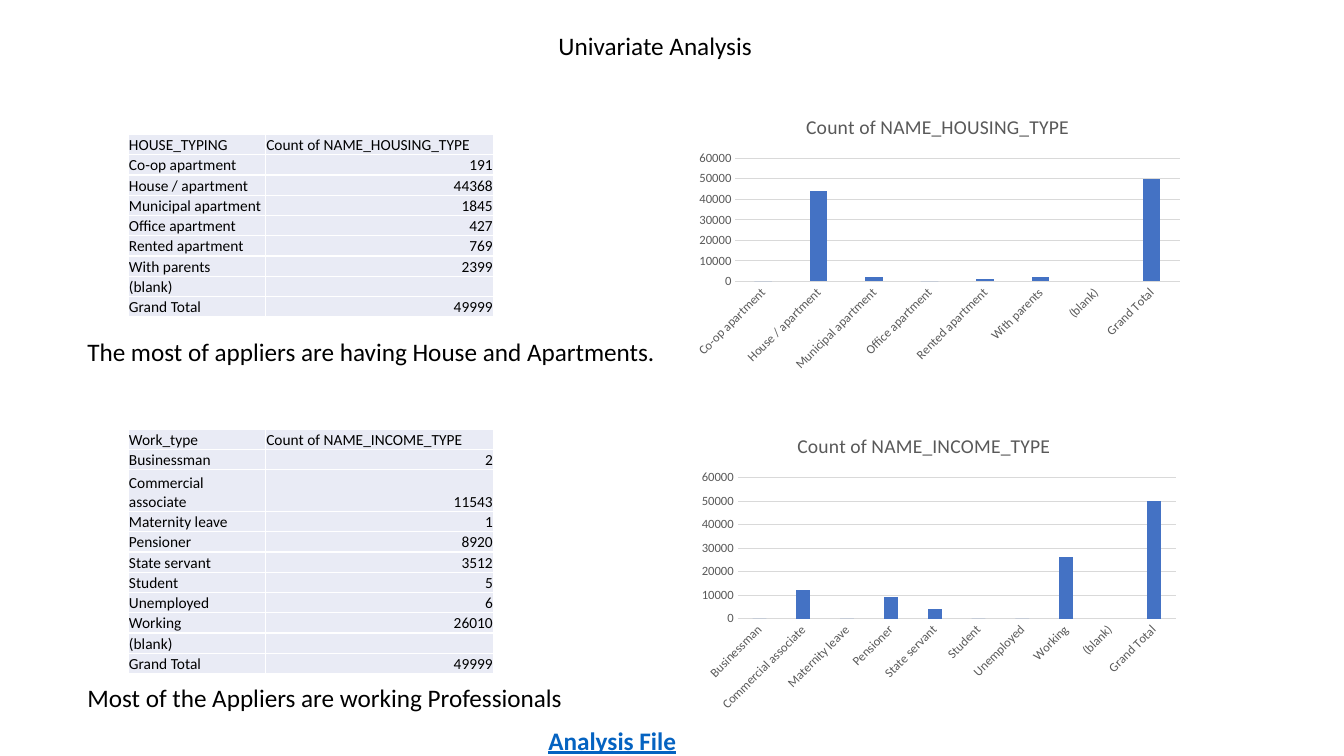
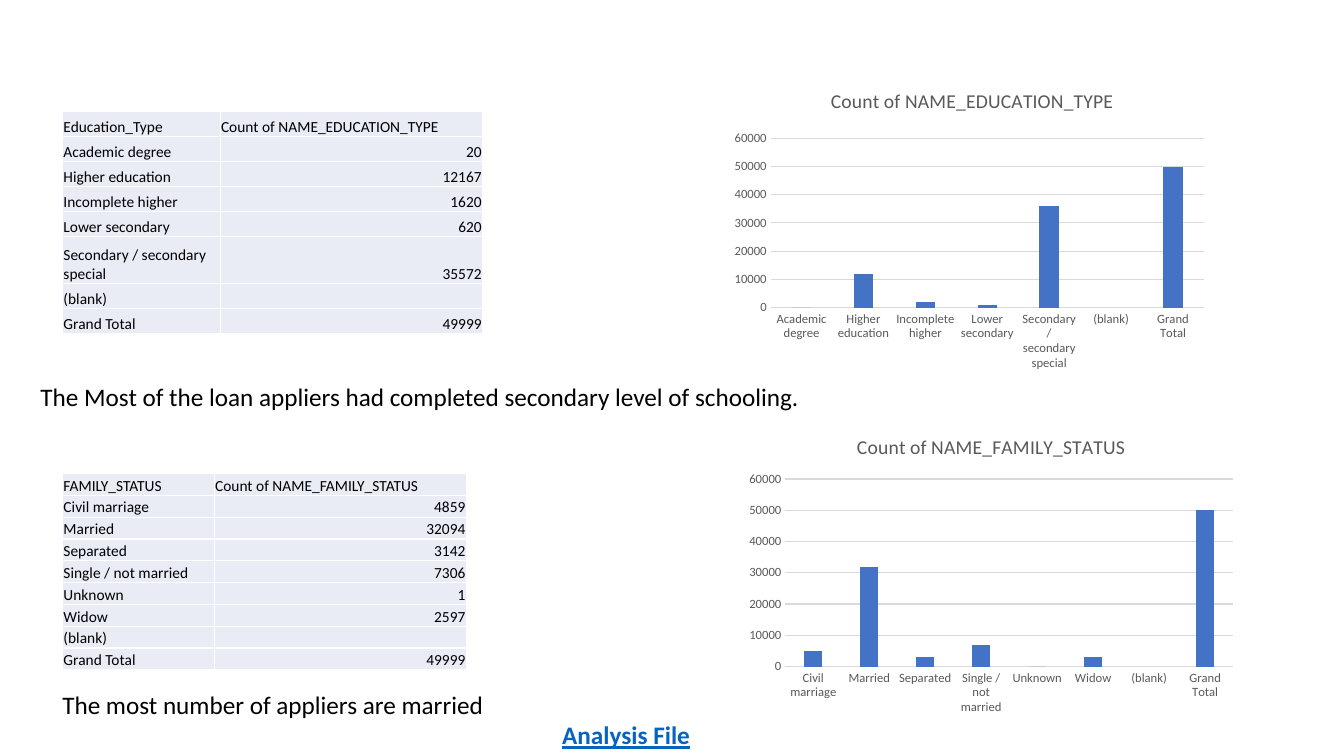
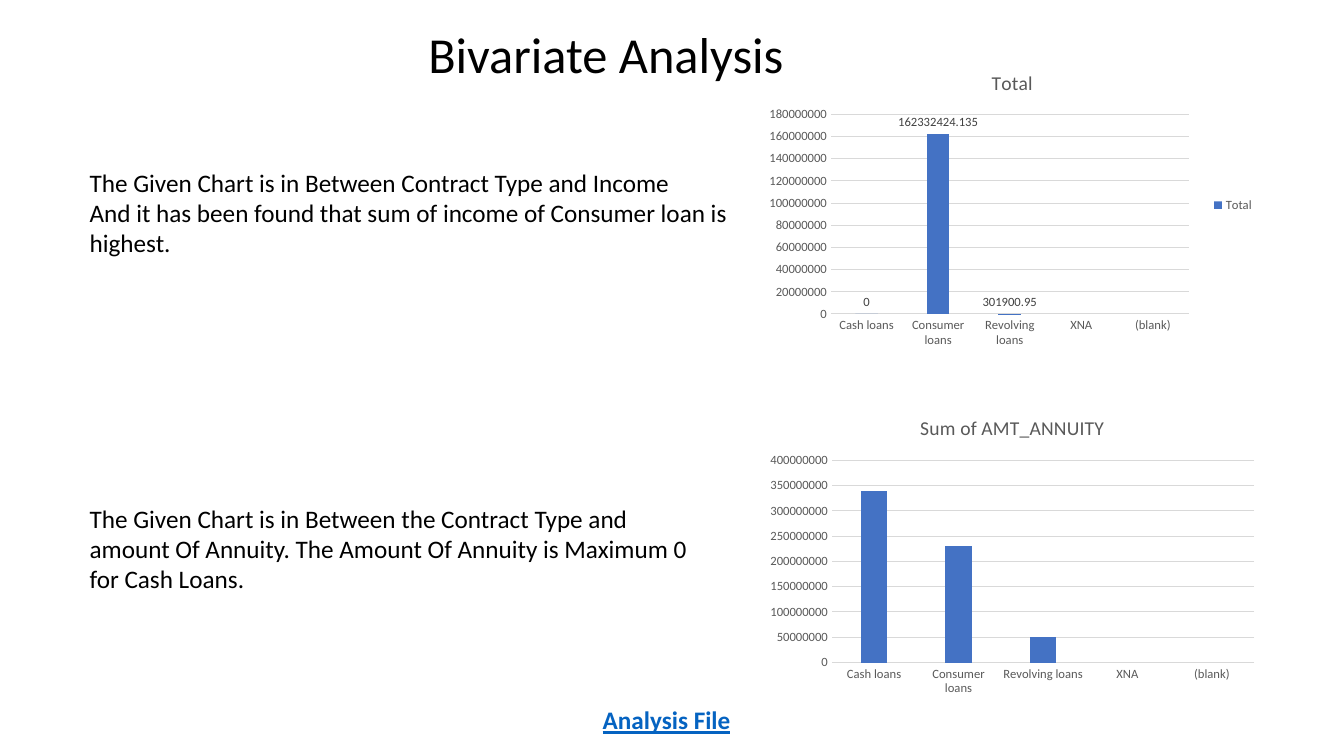
from dataclasses import dataclass
from typing import NamedTuple, Optional

from lxml import etree
from pptx import Presentation
from pptx.chart.data import CategoryChartData
from pptx.dml.color import RGBColor
from pptx.enum import chart as chart_kinds, text as text_kinds
from pptx.oxml import ns
from pptx.util import Cm, Pt


@dataclass(frozen=True)
class Theme:
    font: str = "Calibri"
    ink: str = "000000"
    link: str = "0563C1"
    muted: str = "595959"
    label: str = "404040"
    grid: str = "D9D9D9"
    bar: str = "4472C4"
    cell: str = "E9EBF5"
    border: str = "FFFFFF"
    heading_size: int = 36
    body_size: int = 18
    chart_title_size: int = 14
    table_size: int = 11
    chart_size: int = 10
    axis_size: int = 9


THEME = Theme()
TITLE_ONLY, BLANK = 5, 6
LINE_HEIGHT = 1.02
CHART_WIDTH, CHART_HEIGHT = 12.7, 7.62


class Box(NamedTuple):
    """Left, top, width and height in centimetres."""
    left: float
    top: float
    width: float
    height: float = LINE_HEIGHT

    def lengths(self) -> tuple:
        return tuple(Cm(value) for value in self)


class PlotArea(NamedTuple):
    """Inner plot position as fractions of the chart."""
    x: float
    y: float
    w: float
    h: float


@dataclass(frozen=True)
class Counts:
    heading: str
    measure: str
    rows: dict[str, Optional[float]]


@dataclass(frozen=True)
class ChartView:
    counts: Counts
    box: Box
    plot_area: Optional[PlotArea] = None
    detailed: bool = False


@dataclass(frozen=True)
class TableView:
    counts: Counts
    left: float
    top: float
    columns: tuple[float, float]
    row_height: float
    tall_rows: dict[str, float]


@dataclass(frozen=True)
class Caption:
    box: Box
    lines: tuple[str, ...]
    wrap: bool = False


@dataclass(frozen=True)
class PageView:
    charts: tuple[ChartView, ...]
    captions: tuple[Caption, ...]
    footer: tuple[float, float]
    tables: tuple[TableView, ...] = ()
    title: Optional[Caption] = None
    title_size: int = THEME.body_size


def style_font(font, *, size: int, colour: str = THEME.ink, bold: bool = False,
               underline: bool = False) -> None:
    font.name = THEME.font
    font.size = Pt(size)
    font.bold = bold
    font.underline = underline
    font.color.rgb = RGBColor.from_string(colour)


def write_text(frame, lines: tuple[str, ...], *, wrap: bool = True,
               align=text_kinds.PP_ALIGN.LEFT, **font_format) -> None:
    frame.word_wrap = wrap
    for index, line in enumerate(lines):
        para = frame.paragraphs[0] if index == 0 else frame.add_paragraph()
        para.alignment = align
        span = para.add_run()
        span.text = line
        style_font(span.font, **font_format)


def add_caption(page, caption: Caption, **font_format) -> None:
    box = page.shapes.add_textbox(*caption.box.lengths())
    write_text(box.text_frame, caption.lines, wrap=caption.wrap, **font_format)


def set_title(page, title: Caption, size: int) -> None:
    holder = page.shapes.title
    holder.left, holder.top, holder.width, holder.height = title.box.lengths()
    holder.text_frame.auto_size = text_kinds.MSO_AUTO_SIZE.NONE
    holder.text_frame.vertical_anchor = text_kinds.MSO_ANCHOR.TOP
    write_text(holder.text_frame, title.lines, wrap=title.wrap, size=size)


def add_borders(cell) -> None:
    properties = cell._tc.get_or_add_tcPr()
    for side in ("lnL", "lnR", "lnT", "lnB"):
        line = etree.SubElement(properties, ns.qn(f"a:{side}"), w=str(Pt(1)))
        fill = etree.SubElement(line, ns.qn("a:solidFill"))
        etree.SubElement(fill, ns.qn("a:srgbClr"), val=THEME.border)


def fill_cell(cell, content: str, align) -> None:
    add_borders(cell)
    cell.fill.solid()
    cell.fill.fore_color.rgb = RGBColor.from_string(THEME.cell)
    cell.margin_left = cell.margin_right = cell.margin_top = Cm(0.02)
    cell.margin_bottom = Cm(0)
    cell.vertical_anchor = text_kinds.MSO_ANCHOR.BOTTOM
    if content:
        write_text(cell.text_frame, (content,), align=align, size=THEME.table_size)
    else:
        etree.SubElement(cell.text_frame.paragraphs[0]._p, ns.qn("a:endParaRPr"),
                         sz=str(THEME.table_size * 100))


def add_count_table(page, view: TableView) -> None:
    counts = view.counts
    records = [(counts.heading, counts.measure), *counts.rows.items()]
    heights = [view.tall_rows.get(name, view.row_height) for name, _ in records]
    box = Box(view.left, view.top, sum(view.columns), sum(heights))
    table = page.shapes.add_table(len(records), 2, *box.lengths()).table
    table.first_row = table.horz_banding = False
    for column, width in zip(table.columns, view.columns):
        column.width = Cm(width)
    left, right = text_kinds.PP_ALIGN.LEFT, text_kinds.PP_ALIGN.RIGHT
    for index, ((name, value), height) in enumerate(zip(records, heights)):
        table.rows[index].height = Cm(height)
        fill_cell(table.cell(index, 0), name, left)
        fill_cell(table.cell(index, 1), "" if value is None else str(value),
                  right if index else left)


def set_plot_area(chart, area: PlotArea) -> None:
    plot_area = chart._chartSpace.find(f".//{ns.qn('c:plotArea')}")
    layout = plot_area.find(ns.qn("c:layout"))
    if layout is None:
        layout = etree.Element(ns.qn("c:layout"))
        plot_area.insert(0, layout)
    manual = etree.SubElement(layout, ns.qn("c:manualLayout"))
    settings = {"layoutTarget": "inner", "xMode": "edge", "yMode": "edge",
                **area._asdict()}
    for name, value in settings.items():
        etree.SubElement(manual, ns.qn(f"c:{name}"), val=str(value))


def style_axes(chart) -> None:
    category, value = chart.category_axis, chart.value_axis
    for axis in (category, value):
        axis.major_tick_mark = axis.minor_tick_mark = chart_kinds.XL_TICK_MARK.NONE
        style_font(axis.tick_labels.font, size=THEME.axis_size, colour=THEME.muted)
        # This rotation value lets the renderer choose the label angle.
        body = axis._element.find(f"{ns.qn('c:txPr')}/{ns.qn('a:bodyPr')}")
        body.set("rot", "-60000000")
        body.set("vert", "horz")
    value.has_major_gridlines = True
    value.format.line.fill.background()
    for line in (category.format.line, value.major_gridlines.format.line):
        line.color.rgb = RGBColor.from_string(THEME.grid)
        line.width = Pt(0.75)


def chart_values(view: ChartView) -> list[Optional[float]]:
    """Values in whole thousands, unless the bars carry exact labels."""
    return [value if value is None or view.detailed else round(value, -3)
            for value in view.counts.rows.values()]


def add_count_chart(page, view: ChartView) -> None:
    counts = view.counts
    data = CategoryChartData()
    data.categories = list(counts.rows)
    data.add_series(counts.measure, chart_values(view))
    chart = page.shapes.add_chart(chart_kinds.XL_CHART_TYPE.COLUMN_CLUSTERED,
                                  *view.box.lengths(), data).chart
    style_font(chart.font, size=THEME.chart_size)
    chart.has_title = True
    write_text(chart.chart_title.text_frame, (counts.measure,),
               align=text_kinds.PP_ALIGN.CENTER,
               size=THEME.chart_title_size, colour=THEME.muted)
    chart.chart_title.include_in_layout = False
    style_axes(chart)
    plot = chart.plots[0]
    plot.gap_width, plot.overlap = 219, -27
    plot.vary_by_categories = False
    bars = plot.series[0]
    bars.format.fill.solid()
    bars.format.fill.fore_color.rgb = RGBColor.from_string(THEME.bar)
    chart.has_legend = view.detailed
    if view.detailed:
        chart.legend.position = chart_kinds.XL_LEGEND_POSITION.RIGHT
        chart.legend.include_in_layout = False
        style_font(chart.legend.font, size=THEME.axis_size, colour=THEME.muted)
        labels = bars.data_labels
        labels.show_value = True
        labels.position = chart_kinds.XL_LABEL_POSITION.OUTSIDE_END
        style_font(labels.font, size=THEME.axis_size, colour=THEME.label)
    if view.plot_area:
        set_plot_area(chart, view.plot_area)


def add_page(deck, view: PageView) -> None:
    layout = TITLE_ONLY if view.title else BLANK
    page = deck.slides.add_slide(deck.slide_layouts[layout])
    if view.title:
        set_title(page, view.title, view.title_size)
    for chart in view.charts:
        add_count_chart(page, chart)
    for table in view.tables:
        add_count_table(page, table)
    for caption in view.captions:
        add_caption(page, caption, size=THEME.body_size)
    footer = Caption(Box(*view.footer, 16.92), ("Analysis File",), wrap=True)
    add_caption(page, footer, size=THEME.body_size, colour=THEME.link,
                bold=True, underline=True)


HOUSING = Counts("HOUSE_TYPING", "Count of NAME_HOUSING_TYPE", {
    "Co-op apartment": 191, "House / apartment": 44368, "Municipal apartment": 1845,
    "Office apartment": 427, "Rented apartment": 769, "With parents": 2399,
    "(blank)": None, "Grand Total": 49999})
INCOME = Counts("Work_type", "Count of NAME_INCOME_TYPE", {
    "Businessman": 2, "Commercial associate": 11543, "Maternity leave": 1,
    "Pensioner": 8920, "State servant": 3512, "Student": 5, "Unemployed": 6,
    "Working": 26010, "(blank)": None, "Grand Total": 49999})
EDUCATION = Counts("Education_Type", "Count of NAME_EDUCATION_TYPE", {
    "Academic degree": 20, "Higher education": 12167, "Incomplete higher": 1620,
    "Lower secondary": 620, "Secondary / secondary special": 35572,
    "(blank)": None, "Grand Total": 49999})
FAMILY = Counts("FAMILY_STATUS", "Count of NAME_FAMILY_STATUS", {
    "Civil marriage": 4859, "Married": 32094, "Separated": 3142,
    "Single / not married": 7306, "Unknown": 1, "Widow": 2597,
    "(blank)": None, "Grand Total": 49999})
CONTRACTS = ("Cash loans", "Consumer loans", "Revolving loans", "XNA", "(blank)")
CONTRACT_INCOME = Counts("", "Total", dict(zip(
    CONTRACTS, (0, 162332424.135, 301900.95, None, None))))
ANNUITY = Counts("", "Sum of AMT_ANNUITY", dict(zip(
    CONTRACTS, (340000000, 230000000, 50000000, None, None))))

PAGES = (
    PageView(
        title=Caption(Box(13.82, 0.64, 5.44), ("Univariate Analysis",)),
        charts=(
            ChartView(HOUSING, Box(17.28, 2.48, CHART_WIDTH, 7.04)),
            ChartView(INCOME, Box(16.94, 10.52, CHART_WIDTH, 7.57),
                      PlotArea(0.13, 0.2, 0.87, 0.47)),
        ),
        tables=(
            TableView(HOUSING, 3.23, 3.39, (3.46, 5.75), 0.51, {}),
            TableView(INCOME, 3.23, 10.82, (3.46, 5.75), 0.51,
                      {"Commercial associate": 1.05}),
        ),
        captions=(
            Caption(Box(1.95, 8.36, 14.99),
                    ("The most of appliers are having House and Apartments.",)),
            Caption(Box(1.95, 17.07, 12.6),
                    ("Most of the Appliers are working Professionals",)),
        ),
        footer=(13.57, 18.14),
    ),
    PageView(
        charts=(
            ChartView(EDUCATION, Box(18.15, 1.81, CHART_WIDTH, CHART_HEIGHT),
                      PlotArea(0.1, 0.22, 0.86, 0.56)),
            ChartView(FAMILY, Box(18.63, 10.54, CHART_WIDTH, CHART_HEIGHT)),
        ),
        tables=(
            TableView(EDUCATION, 1.58, 2.81, (3.97, 6.61), 0.63,
                      {"Secondary / secondary special": 1.19}),
            TableView(FAMILY, 1.58, 11.93, (3.82, 6.35), 0.55, {}),
        ),
        captions=(
            Caption(Box(0.77, 9.49, 19.86), (
                "The Most of the loan appliers had completed secondary level of schooling.",)),
            Caption(Box(1.32, 17.25, 18.77),
                    ("The most number of appliers are married",), wrap=True),
        ),
        footer=(13.92, 18.01),
    ),
    PageView(
        title=Caption(Box(10.54, 0.46, 9.55, 1.8), ("Bivariate Analysis",)),
        title_size=THEME.heading_size,
        charts=(
            ChartView(CONTRACT_INCOME, Box(19.16, 1.36, CHART_WIDTH, CHART_HEIGHT),
                      PlotArea(0.14, 0.2, 0.71, 0.66), detailed=True),
            ChartView(ANNUITY, Box(19.16, 10.07, CHART_WIDTH, CHART_HEIGHT)),
        ),
        captions=(
            Caption(Box(2.01, 4.08, 16.92, 3.33), (
                "The Given Chart is in Between Contract Type and Income",
                "And it has been found that sum of income of Consumer loan is",
                "highest.")),
            Caption(Box(2.01, 12.55, 16.92, 3.33), (
                "The Given Chart is in Between the Contract Type and",
                "amount Of Annuity. The Amount Of Annuity is Maximum 0",
                "for Cash Loans."), wrap=True),
        ),
        footer=(14.94, 17.63),
    ),
)


def main() -> None:
    deck = Presentation()
    deck.slide_width, deck.slide_height = Cm(33.87), Cm(19.05)
    for view in PAGES:
        add_page(deck, view)
    deck.save("out.pptx")


if __name__ == "__main__":
    main()
